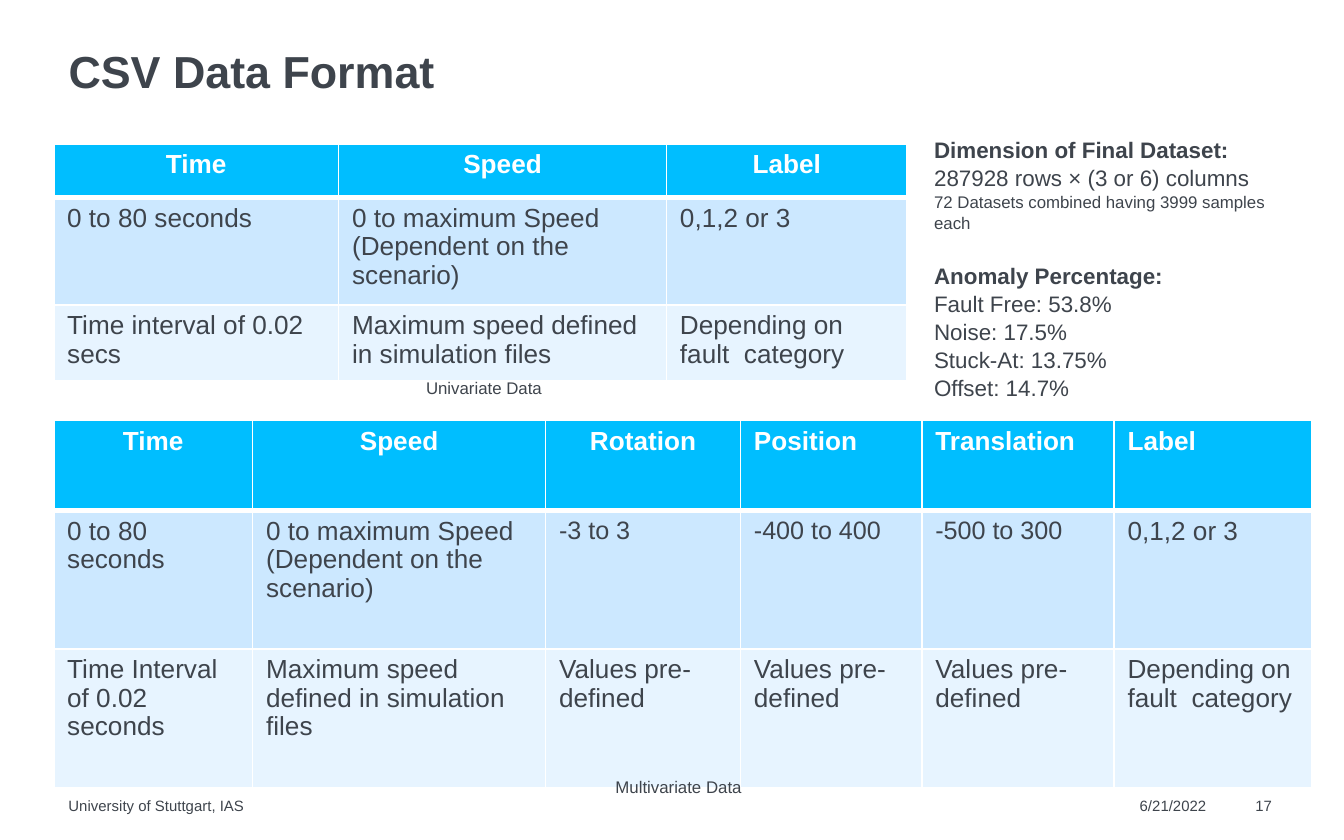
from dataclasses import dataclass

from lxml import etree
from pptx import Presentation
from pptx.dml.color import RGBColor
from pptx.enum.text import MSO_ANCHOR, MSO_AUTO_SIZE, PP_ALIGN
from pptx.oxml.ns import qn
from pptx.util import Inches, Pt


@dataclass(frozen=True)
class Theme:
    font: str = "Arial"
    ink: str = "3E444C"
    white: str = "FFFFFF"
    fills: tuple = ("00BEFF", "CCE8FF", "E7F4FF")  # header, first and second row
    title: float = 24
    cell: float = 14
    range: float = 13.5
    body: float = 12
    small: float = 9
    footer: float = 8


T = Theme()


def add_run(p, text, size, color=T.ink, bold=False):
    r = p.add_run()
    r.text = text
    r.font.color.rgb = RGBColor.from_string(color)
    for name, value in dict(name=T.font, size=Pt(size), bold=bold).items():
        setattr(r.font, name, value)


def setup_frame(s, box, anchor=MSO_ANCHOR.TOP):
    """Place a shape in its box and clear the insets of its text frame."""
    for name, value in zip(("left", "top", "width", "height"), box):
        setattr(s, name, Inches(value))
    tf = s.text_frame
    frame = dict(margin_left=0, margin_top=0, margin_right=0, margin_bottom=0,
                 word_wrap=True, auto_size=MSO_AUTO_SIZE.NONE, vertical_anchor=anchor)
    for name, value in frame.items():
        setattr(tf, name, value)
    return tf


def set_borders(cell, widths):
    tcPr = cell._tc.get_or_add_tcPr()
    for i, (side, width) in enumerate(widths.items()):
        ln = etree.Element(qn("a:" + side), w=str(Pt(width)))
        fill = etree.SubElement(ln, qn("a:solidFill"))
        etree.SubElement(fill, qn("a:srgbClr"), val=T.white)
        tcPr.insert(i, ln)


def add_title(s, box, text):
    tf = setup_frame(s.shapes.title, box, MSO_ANCHOR.BOTTOM)
    p = tf.paragraphs[0]
    p.alignment, p.line_spacing = PP_ALIGN.LEFT, 0.9
    add_run(p, text, T.title, bold=True)


def add_facts(s, box, lines):
    """Each line holds its space before and its (text, size, bold) runs."""
    tf = setup_frame(s.placeholders[1], box)
    for i, (gap, runs) in enumerate(lines):
        p = tf.paragraphs[0] if i == 0 else tf.add_paragraph()
        pPr = p._p.get_or_add_pPr()
        pPr.set("marL", "0")
        pPr.set("indent", "0")
        etree.SubElement(pPr, qn("a:buNone"))
        p.space_before, p.line_spacing = Pt(gap), 1.05
        for text, size, bold in runs:
            add_run(p, text, size, bold=bold)


def add_label(s, box, text, size):
    sp = s.shapes.add_textbox(0, 0, 0, 0)
    add_run(setup_frame(sp, box).paragraphs[0], text, size)


def add_data_table(s, left, top, cols, heights, rows, centered=3, ranges=()):
    """Header row plus two shaded rows; ranges are columns with smaller values."""
    frame = s.shapes.add_table(len(rows), len(cols), Inches(left), Inches(top),
                               Inches(sum(cols)), Inches(sum(heights)))
    table = frame.table
    for col, width in zip(table.columns, cols):
        col.width = Inches(width)
    for i, (row, height) in enumerate(zip(rows, heights)):
        table.rows[i].height = Inches(height)
        for j, text in enumerate(row):
            cell = table.cell(i, j)
            cell.fill.solid()
            cell.fill.fore_color.rgb = RGBColor.from_string(T.fills[i])
            set_borders(cell, dict(lnL=1, lnR=1, lnT=3 if i == 1 else 1,
                                   lnB=3 if i == 0 else 1))
            p = cell.text_frame.paragraphs[0]
            p.line_spacing = 0.97
            header = i == 0
            if header and j < centered:
                p.alignment = PP_ALIGN.CENTER
            size = T.range if i == 1 and j in ranges else T.cell
            add_run(p, text, size, T.white if header else T.ink, header)


def add_footer(s, top):
    for left, width, text in ((0.51, 6.63, "University of Stuttgart, IAS"),
                              (8.48, 0.58, "6/21/2022"), (9.34, 0.24, "17")):
        add_label(s, (left, top, width, 0.14), text, T.footer)


def main():
    prs = Presentation()
    prs.slide_width, prs.slide_height = Inches(10), Inches(6.25)
    s = prs.slides.add_slide(prs.slide_layouts[1])
    add_title(s, (0.51, 0.43, 8.98, 0.3), "CSV Data Format")

    speed = ("Speed", "0 to maximum Speed (Dependent on the scenario)",
             "Maximum speed defined in simulation files")
    label = ("Label", "0,1,2 or 3", "Depending on fault  category")

    # Univariate data, one tuple per column
    univariate = [("Time", "0 to 80 seconds", "Time interval of 0.02 secs"), speed, label]
    add_data_table(s, 0.4, 1.07, (2.12, 2.44, 1.79), (0.4, 0.8, 0.56),
                   list(zip(*univariate)))
    add_label(s, (3.17, 2.81, 2.46, 0.16), "Univariate Data", T.small)

    # Multivariate data
    axes = [(name, span, "Values pre-defined") for name, span in
            (("Rotation", "-3 to 3"), ("Position", "-400 to 400"),
             ("Translation", "-500 to 300"))]
    multivariate = [("Time", "0 to 80 seconds", "Time Interval of 0.02 seconds"),
                    speed, *axes, label]
    add_data_table(s, 0.4, 3.13, (1.48, 2.18, 1.45, 1.35, 1.43, 1.47),
                   (0.67, 1.03, 1.03), list(zip(*multivariate)), ranges=(2, 3, 4))
    add_label(s, (4.58, 5.78, 2.46, 0.16), "Multivariate Data", T.small)

    # Dataset facts
    shares = ("Fault Free: 53.8%", "Noise: 17.5%", "Stuck-At: 13.75%", "Offset: 14.7%")
    add_facts(s, (6.95, 1, 2.63, 1.83), [
        (0, [("Dimension of Final Dataset: ", T.body, True),
             ("287928 rows × (3 or 6) columns", T.body, False)]),
        (0, [("72 Datasets combined having 3999 samples each", T.small, False)]),
        (14.5, [("Anomaly Percentage:", T.body, True)]),
        *[(0, [(share, T.body, False)]) for share in shares],
    ])

    add_footer(s, 5.93)
    prs.save("out.pptx")


if __name__ == "__main__":
    main()
